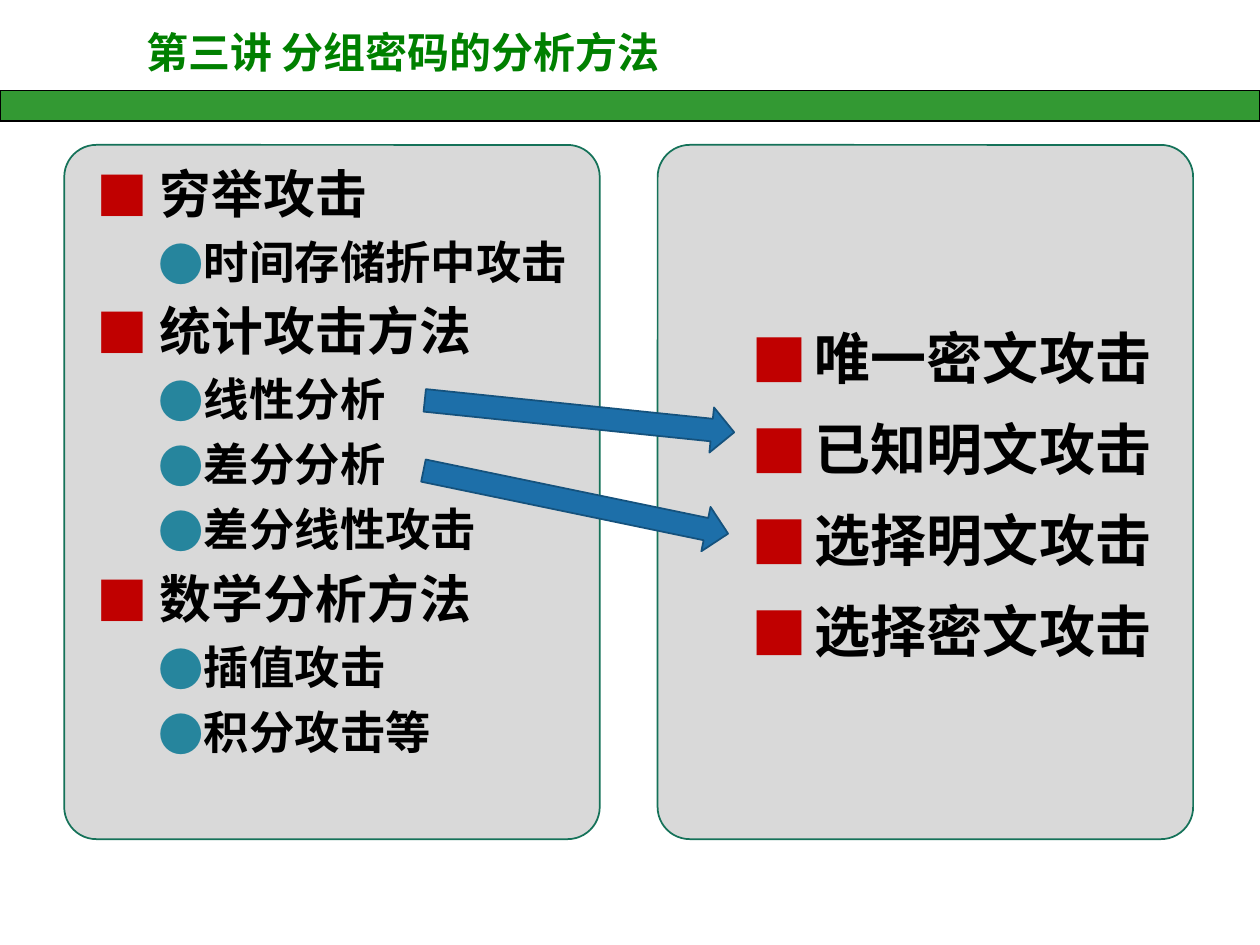
from lxml import etree
from pptx import Presentation
from pptx.dml.color import RGBColor
from pptx.enum import shapes, text
from pptx.oxml import ns
from pptx.util import Pt

HEX = {"bar": "339933", "title": "008000", "panel": "D9D9D9", "edge": "157259",
       "ink": "000000", "square": "C00000", "dot": "26859D",
       "arrow": "1D6FA9", "rim": "15527D"}
SANS, SERIF = "Noto Sans CJK SC", "Times New Roman"
KIND = shapes.MSO_SHAPE

# Level: left margin, hanging indent, bullet, bullet colour
LEVELS = [(36, -36, "■", "square"), (56.88, -21.6, "●", "dot")]

ATTACKS = [(0, "穷举攻击"), (1, "时间存储折中攻击"),
           (0, "统计攻击方法"), (1, "线性分析"), (1, "差分分析"), (1, "差分线性攻击"),
           (0, "数学分析方法"), (1, "插值攻击"), (1, "积分攻击等")]
MODELS = [(0, "唯一密文攻击"), (0, "已知明文攻击"),
          (0, "选择明文攻击"), (0, "选择密文攻击")]


def color(name):
    return RGBColor.from_string(HEX[name])


def place(shape, box):
    shape.left, shape.top, shape.width, shape.height = map(Pt, box)


def draw(slide, kind, box, fill, line, width=1):
    shape = slide.shapes.add_shape(kind, *map(Pt, box))
    shape.shadow.inherit = False
    shape.fill.solid()
    shape.fill.fore_color.rgb = color(fill)
    shape.line.color.rgb = color(line)
    shape.line.width = Pt(width)
    return shape


def style(par, size, tint, face):
    font = par.font
    font.size, font.bold, font.name = Pt(size), True, face
    font.color.rgb = color(tint)
    east = etree.SubElement(font._element, ns.qn("a:ea"))
    east.set("typeface", SANS)


def bullet(par, level):
    margin, indent, mark, tint = LEVELS[level]
    props = par._p.get_or_add_pPr()
    props.set("marL", str(Pt(margin)))
    props.set("indent", str(Pt(indent)))
    # Bullet parts come before the default run properties
    parts = [etree.Element(ns.qn(tag)) for tag in ("a:buClr", "a:buFont", "a:buChar")]
    etree.SubElement(parts[0], ns.qn("a:srgbClr")).set("val", HEX[tint])
    parts[1].set("typeface", SANS)
    parts[2].set("char", mark)
    after = props.find(ns.qn("a:defRPr"))
    for part in parts:
        after.addprevious(part)


def fill_list(shape, items, sizes, space):
    frame = shape.text_frame
    frame.word_wrap = True
    frame.auto_size = text.MSO_AUTO_SIZE.NONE
    frame.vertical_anchor = text.MSO_ANCHOR.TOP
    for i, (level, words) in enumerate(items):
        par = frame.add_paragraph() if i else frame.paragraphs[0]
        par.text, par.level = words, level
        par.line_spacing, par.space_before = space, Pt(6)
        style(par, sizes[level], "ink", SANS)
        bullet(par, level)


def header(slide, box):
    left, top, width, height = box
    draw(slide, KIND.RECTANGLE, (left, top + 51.84, width, 17.28), "bar", "ink", 0.75)
    title = slide.shapes.title
    place(title, (left + 76.3, top + 11.5, 329, 36))
    frame = title.text_frame
    frame.text = "第三讲 分组密码的分析方法"
    frame.word_wrap = False
    frame.auto_size = text.MSO_AUTO_SIZE.NONE
    frame.vertical_anchor = text.MSO_ANCHOR.MIDDLE
    par = frame.paragraphs[0]
    par.alignment = text.PP_ALIGN.LEFT
    style(par, 24, "title", SERIF)


def panel(slide, box):
    card = draw(slide, KIND.ROUNDED_RECTANGLE, box, "panel", "edge")
    card.adjustments[0] = 0.06


def methods(slide, box):
    left, top, width, height = box
    panel(slide, box)
    body = slide.placeholders[1]
    slide.shapes._spTree.append(body._element)  # bring in front of the panel
    place(body, (left + 11.5, top + 5.8, 289.4, 380.2))
    fill_list(body, ATTACKS, (29.6, 25.9), 1.0)


def models(slide, box):
    left, top, width, height = box
    panel(slide, box)
    area = (left + 46.8, top + 90.7, 289.4, 226.8)
    fill_list(slide.shapes.add_textbox(*map(Pt, area)), MODELS, (32,), 1.2)


def arrow(slide, box, turn):
    draw(slide, KIND.DOWN_ARROW, box, "arrow", "rim").rotation = turn


def main():
    deck = Presentation()
    deck.slide_width, deck.slide_height = Pt(720), Pt(540)
    slide = deck.slides.add_slide(deck.slide_layouts[1])
    header(slide, (0, 0, 720, 69.12))
    models(slide, (375.8, 82.8, 306, 396.7))
    methods(slide, (36.7, 82.8, 306, 396.7))
    # Links from methods to models
    arrow(slide, (318.2, 149, 25.9, 177.8), 275.9)
    arrow(slide, (316.1, 198, 25.9, 177.8), 281.7)
    deck.save("out.pptx")


if __name__ == "__main__":
    main()
